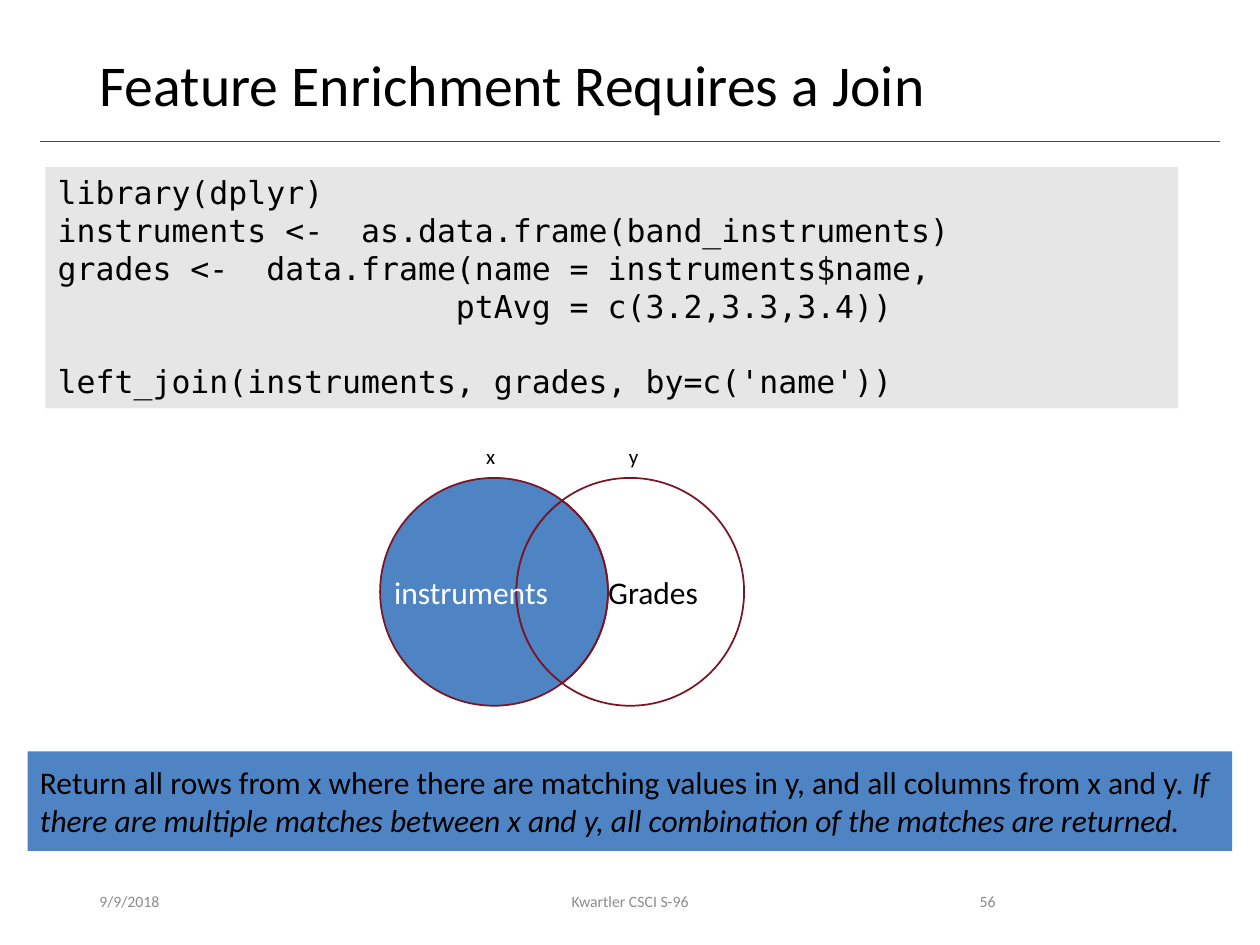
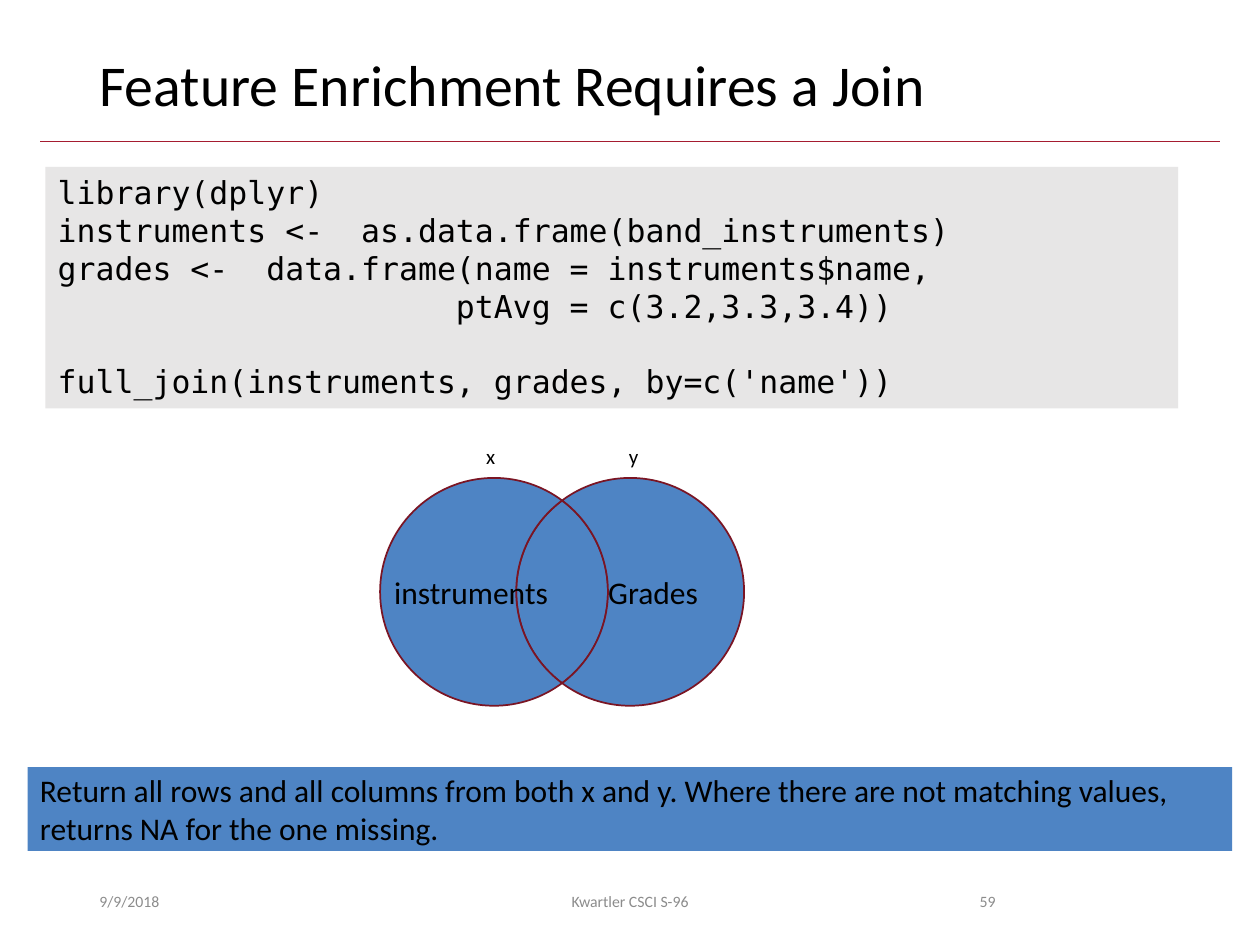
from itertools import pairwise
from math import acos, cos, degrees, radians, sin, tan

from lxml.etree import SubElement
from pptx import Presentation
from pptx.dml.color import RGBColor
from pptx.enum.shapes import MSO_CONNECTOR as CONN, MSO_SHAPE as SHAPE
from pptx.enum.text import MSO_ANCHOR as ANCHOR, PP_ALIGN as ALIGN
from pptx.oxml.ns import qn
from pptx.util import Pt

SANS, MONO = "Calibri", "DejaVu Sans Mono"
BLACK, WHITE, MUTED = "000000", "FFFFFF", "8C8C8C"
BLUE, CODE_BG, RULE, OUTLINE = "4E84C4", "E7E6E6", "A51C30", "7A1524"

TITLE = "Feature Enrichment Requires a Join"
DATE, COURSE = "9/9/2018", "Kwartler CSCI S-96"
SETUP_CODE = [
    "library(dplyr)",
    "instruments <-  as.data.frame(band_instruments)",
    "grades <-  data.frame(name = instruments$name,",
    "                     ptAvg = c(3.2,3.3,3.4))",
]
BANNER_BOTTOM = 486.3
RADIUS, CENTER_Y = 65.1, 338.2
LEFT_X, RIGHT_X = 282.3, 360.1
HALF_ANGLE = degrees(acos((RIGHT_X - LEFT_X) / 2 / RADIUS))

JOINS = [
    dict(number="56", call="left_join(instruments, grades, by=c('name'))",
         left_text=WHITE, right_fill=None, banner_height=57,
         note="Return all rows from x where there are matching values in y, "
              "and all columns from x and y. ",
         aside="If there are multiple matches between x and y, "
               "all combination of the matches are returned."),
    dict(number="59", call="full_join(instruments, grades, by=c('name'))",
         left_text=BLACK, right_fill=BLUE, banner_height=48,
         note="Return all rows and all columns from both x and y. Where there "
              "are not matching values, returns NA for the one missing.",
         aside=""),
]


def rgb(value):
    """Turn a hex string into a colour."""
    return RGBColor.from_string(value)


def style(p, size, color=BLACK, font=SANS, align=ALIGN.LEFT):
    """Set the font and alignment of a paragraph."""
    p.alignment = align
    p.font.size, p.font.name = Pt(size), font
    p.font.color.rgb = rgb(color)


def paint(sp, fill, line=None):
    """Set fill and outline of a shape and drop its shadow."""
    sp.shadow.inherit = False
    if fill:
        sp.fill.solid()
        sp.fill.fore_color.rgb = rgb(fill)
    else:
        sp.fill.background()
    if line:
        sp.line.color.rgb = rgb(line)
        sp.line.width = Pt(1)
    else:
        sp.line.fill.background()


def add_text(s, text, box, size, color=BLACK, align=ALIGN.LEFT,
             anchor=ANCHOR.TOP, wrap=True):
    """Add a one-paragraph text box and return the paragraph."""
    tf = s.shapes.add_textbox(*map(Pt, box)).text_frame
    tf.word_wrap, tf.vertical_anchor = wrap, anchor
    p = tf.paragraphs[0]
    p.text = text
    style(p, size, color, align=align)
    return p


def add_panel(s, box, fill, anchor):
    """Add a filled rectangle and return its text frame."""
    sp = s.shapes.add_shape(SHAPE.RECTANGLE, *map(Pt, box))
    paint(sp, fill)
    tf = sp.text_frame
    tf.word_wrap, tf.vertical_anchor = True, anchor
    return tf


def add_frame(s, number):
    """Add the title, the rule below it and the footer."""
    add_text(s, TITLE, (49.7, 28.8, 620.6, 46.8), 33).line_spacing = 0.9
    rule = s.shapes.add_connector(CONN.STRAIGHT, *map(Pt, (23, 80.6, 697, 80.6)))
    rule.line.color.rgb = rgb(RULE)
    rule.line.width = Pt(0.5)
    SubElement(rule.element.spPr, qn("a:effectLst"))
    for text, left, width, align in (
        (DATE, 49.7, 162, ALIGN.LEFT),
        (COURSE, 238.3, 243.4, ALIGN.CENTER),
        (number, 508.3, 67.7, ALIGN.RIGHT),
    ):
        add_text(s, text, (left, 500.4, width, 28.8), 9, MUTED, align, ANCHOR.MIDDLE)


def add_code(s, call):
    """Add the code panel, with the join call set apart."""
    tf = add_panel(s, (25.9, 95.4, 647.3, 138), CODE_BG, ANCHOR.TOP)
    for i, line in enumerate(SETUP_CODE + [call]):
        p = tf.add_paragraph() if i else tf.paragraphs[0]
        p.text = line
        style(p, 18, font=MONO)
    p.space_before = Pt(21.5)


def arc(center_x, *stops):
    """List the Bezier points of a circle arc that passes the given angles."""
    def at(angle, pull=0):
        """Give the point at an angle, moved along the tangent by pull."""
        a = radians(angle)
        return (Pt(center_x + RADIUS * (cos(a) - pull * sin(a))),
                Pt(CENTER_Y + RADIUS * (sin(a) + pull * cos(a))))

    points = [at(stops[0])]
    for start, end in pairwise(stops):
        pull = 4 / 3 * tan(radians(end - start) / 4)
        points += [at(start, pull), at(end, -pull), at(end)]
    return points


def bend(sp):
    """Join each three line steps of a freeform into one cubic curve."""
    steps = list(sp.element.iter(qn("a:lnTo")))
    for i in range(0, len(steps), 3):
        curve = steps[i].makeelement(qn("a:cubicBezTo"))
        steps[i].addprevious(curve)
        for step in steps[i:i + 3]:
            curve.append(step[0])
            step.getparent().remove(step)


def add_region(s, first, second, fill, text="", color=BLACK):
    """Add the region of the Venn diagram that two arcs enclose."""
    builder = s.shapes.build_freeform(*first[0])
    builder.add_line_segments(first[1:] + second[1:], close=True)
    sp = builder.convert_to_shape()
    bend(sp)
    paint(sp, fill, OUTLINE)
    if text:
        tf = sp.text_frame
        tf.word_wrap, tf.vertical_anchor = True, ANCHOR.MIDDLE
        tf.text = text
        style(tf.paragraphs[0], 18, color, align=ALIGN.CENTER)


def add_venn(s, left_text, right_fill):
    """Add the two overlapping circles and their letters."""
    h = HALF_ANGLE
    add_region(s, arc(LEFT_X, -h, 0, h), arc(RIGHT_X, 180 - h, 180, 180 + h), BLUE)
    add_region(s, arc(LEFT_X, h, 90, 180, 270, 360 - h),
               arc(RIGHT_X, 180 + h, 180, 180 - h), BLUE, "instruments", left_text)
    add_region(s, arc(RIGHT_X, 180 + h, 270, 360, 450, 540 - h),
               arc(LEFT_X, h, 0, -h), right_fill, "Grades")
    for letter, left in (("y", 352.3), ("x", 270.7)):
        add_text(s, letter, (left, 249.8, 20.2, 21.6), 12, wrap=False)


def add_banner(s, note, aside, height):
    """Add the explanation band, with an optional italic aside."""
    box = (15.8, BANNER_BOTTOM - height, 688.3, height)
    p = add_panel(s, box, BLUE, ANCHOR.MIDDLE).paragraphs[0]
    style(p, 18)
    p.add_run().text = note
    if aside:
        r = p.add_run()
        r.text = aside
        r.font.italic = True


def main():
    """Build one slide for each join and save the deck."""
    prs = Presentation()
    prs.slide_width, prs.slide_height = Pt(720), Pt(540)
    for join in JOINS:
        s = prs.slides.add_slide(prs.slide_layouts[6])
        add_frame(s, join["number"])
        add_code(s, join["call"])
        add_venn(s, join["left_text"], join["right_fill"])
        add_banner(s, join["note"], join["aside"], join["banner_height"])
    prs.save("out.pptx")


if __name__ == "__main__":
    main()
